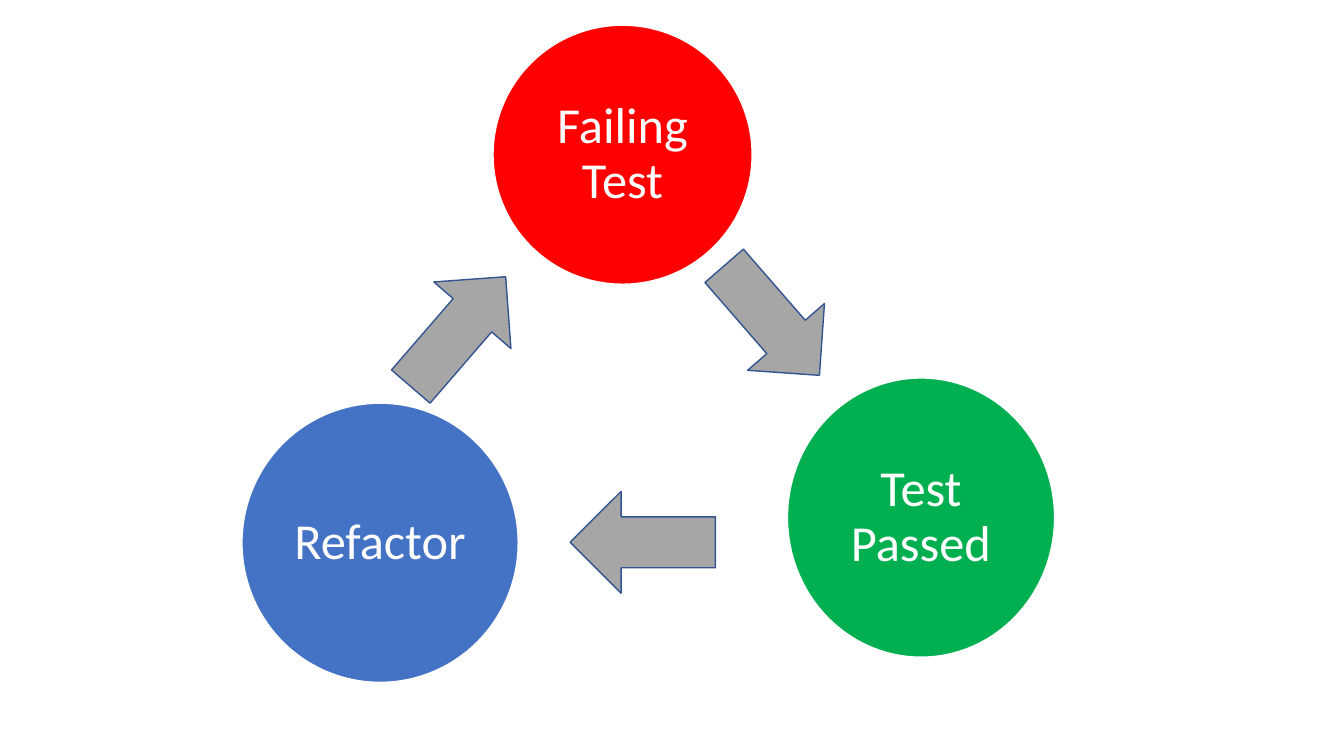
from dataclasses import dataclass

from pptx import Presentation
from pptx.dml.color import RGBColor
from pptx.enum.shapes import MSO_SHAPE
from pptx.enum.text import MSO_ANCHOR, PP_ALIGN
from pptx.util import Inches, Pt


@dataclass(frozen=True)
class Theme:
    font: str = "Calibri"
    label_size: int = 36
    line_width: int = 1
    white: str = "FFFFFF"
    failing: str = "FF0000"
    passed: str = "00B050"
    refactor: str = "4472C4"
    arrow_fill: str = "A6A6A6"
    arrow_line: str = "325491"


def write_text(shape, text, *, font, size, color, inset, line_spacing=0.9):
    """Write one centred paragraph in the middle of the shape."""
    frame = shape.text_frame
    frame.word_wrap = True
    frame.vertical_anchor = MSO_ANCHOR.MIDDLE
    frame.margin_left = frame.margin_right = Inches(inset)
    frame.margin_top = frame.margin_bottom = Inches(inset)
    paragraph = frame.paragraphs[0]
    paragraph.alignment = PP_ALIGN.CENTER
    paragraph.line_spacing = line_spacing
    run = paragraph.add_run()
    run.text = text
    run.font.name = font
    run.font.size = Pt(size)
    run.font.color.rgb = RGBColor.from_string(color)


class CycleSlide:
    ARROW_WIDTH, ARROW_HEIGHT = 1.01, 1.44

    def __init__(self, slide, theme):
        self.slide = slide
        self.theme = theme

    def add_shape(self, kind, box, fill, line):
        shape = self.slide.shapes.add_shape(kind, *map(Inches, box))
        shape.shadow.inherit = False
        shape.fill.solid()
        shape.fill.fore_color.rgb = RGBColor.from_string(fill)
        shape.line.color.rgb = RGBColor.from_string(line)
        shape.line.width = Pt(self.theme.line_width)
        return shape

    def add_stage(self, label, box, fill, inset):
        theme = self.theme
        circle = self.add_shape(MSO_SHAPE.OVAL, box, fill, theme.white)
        write_text(circle, label, font=theme.font, size=theme.label_size,
                   color=theme.white, inset=inset)

    def add_arrow(self, left, top, rotation):
        """Add a down arrow, placed before it is turned clockwise."""
        box = (left, top, self.ARROW_WIDTH, self.ARROW_HEIGHT)
        arrow = self.add_shape(MSO_SHAPE.DOWN_ARROW, box,
                               self.theme.arrow_fill, self.theme.arrow_line)
        arrow.rotation = rotation


def main():
    presentation = Presentation()
    presentation.slide_width = Inches(13.33)
    presentation.slide_height = Inches(7.5)
    blank_layout = presentation.slide_layouts[6]
    theme = Theme()
    cycle = CycleSlide(presentation.slides.add_slide(blank_layout), theme)

    stages = [
        ("Failing Test", (4.89, 0.25, 2.57, 2.57), theme.failing, 0.05),
        ("Test Passed", (7.81, 3.75, 2.65, 2.77), theme.passed, 0.07),
        ("Refactor", (2.4, 4, 2.74, 2.77), theme.refactor, 0.09),
    ]
    for stage in stages:
        cycle.add_stage(*stage)

    arrows = [(7.15, 2.46, 319), (5.87, 4.66, 90), (4.04, 2.57, 220.8)]
    for arrow in arrows:
        cycle.add_arrow(*arrow)

    presentation.save("out.pptx")


if __name__ == "__main__":
    main()
